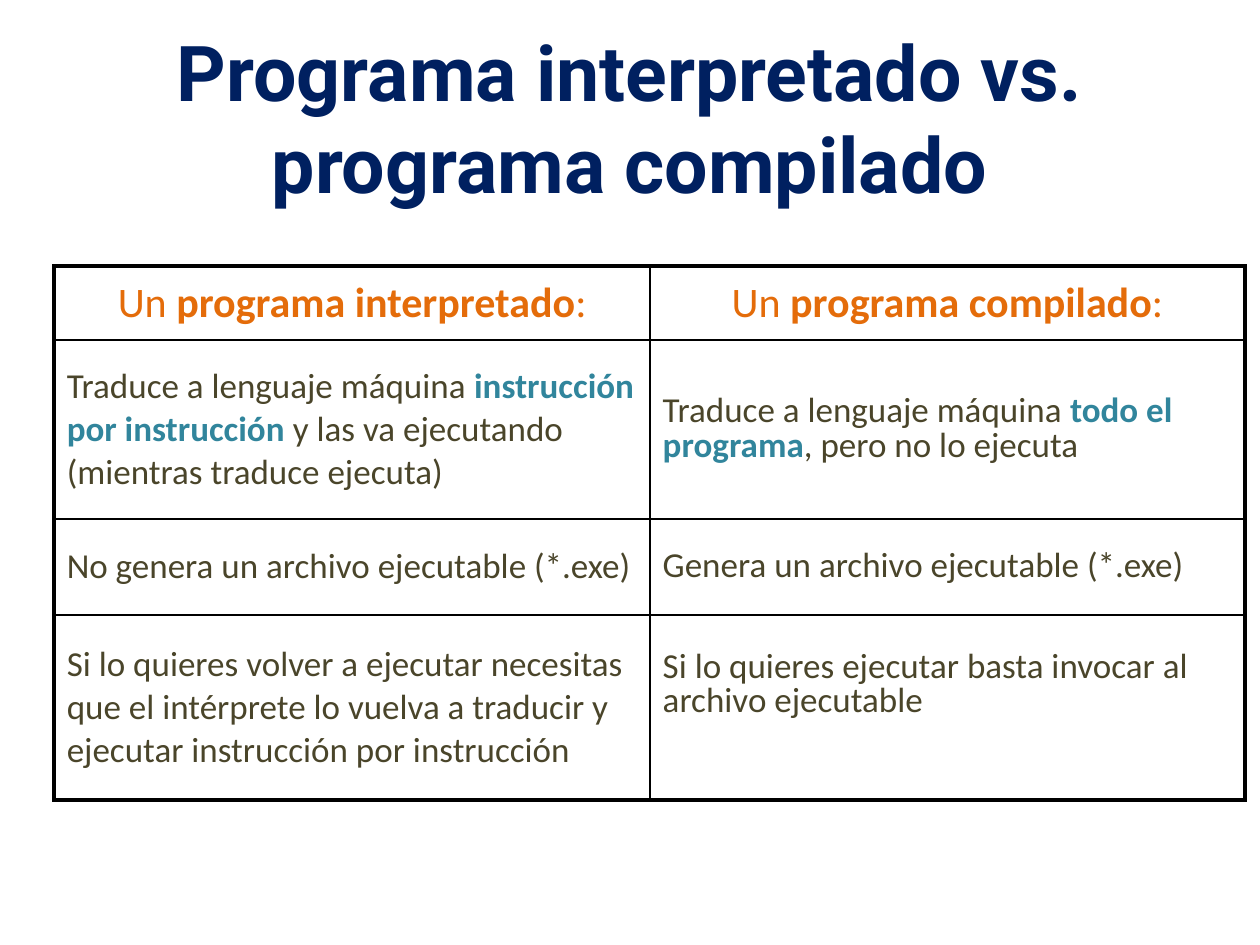
from lxml import etree
from pptx import Presentation
from pptx import util as u
from pptx.dml.color import RGBColor
from pptx.enum import text
from pptx.oxml import ns

NAVY = RGBColor(0x00, 0x20, 0x60)
ORANGE = RGBColor(0xE4, 0x6C, 0x0A)
OLIVE = RGBColor(0x4A, 0x45, 0x2A)
TEAL = RGBColor(0x31, 0x85, 0x9C)
WHITE = RGBColor(0xFF, 0xFF, 0xFF)
BLACK = RGBColor(0x00, 0x00, 0x00)

TITLE = "Programa interpretado vs. programa compilado"
ROWS = [
    (["Un ", "programa interpretado", ":"],
     ["Un ", "programa compilado", ":"]),
    (["Traduce a lenguaje máquina ", "instrucción por instrucción ",
      "y las va ejecutando (mientras traduce ejecuta)"],
     ["Traduce a lenguaje máquina ", "todo el programa", ", pero no lo ejecuta"]),
    (["No genera un archivo ejecutable (*.exe)"],
     ["Genera un archivo ejecutable (*.exe)"]),
    (["Si lo quieres volver a ejecutar necesitas que el intérprete lo vuelva "
      "a traducir y ejecutar instrucción por instrucción"],
     ["Si lo quieres ejecutar basta invocar al archivo ejecutable"]),
]
COLUMN_WIDTHS = [4.73, 4.72]
ROW_HEIGHTS = [0.59, 1.42, 0.76, 1.47]
OUTER_LINE, INNER_LINE = 2.25, 1


def write_text(frame, parts, *, font, size, color, accent=None, bold=False,
               align=text.PP_ALIGN.LEFT, line_spacing=None, space_before=0):
    frame.word_wrap = True
    frame.vertical_anchor = text.MSO_ANCHOR.MIDDLE
    paragraph = frame.paragraphs[0]
    paragraph.alignment = align
    paragraph.line_spacing = line_spacing
    paragraph.space_before = u.Pt(space_before)
    for index, part in enumerate(parts):
        emphasized = index % 2 == 1
        run = paragraph.add_run()
        run.text = part
        run.font.name = font
        run.font.size = u.Pt(size)
        run.font.bold = bold or emphasized
        run.font.color.rgb = accent if emphasized else color


def set_borders(cell, widths):
    properties = cell._tc.get_or_add_tcPr()
    for index, (side, width) in enumerate(widths.items()):
        line = etree.Element(ns.qn(f"a:ln{side}"), w=str(u.Pt(width)))
        fill = etree.SubElement(line, ns.qn("a:solidFill"))
        etree.SubElement(fill, ns.qn("a:srgbClr"), val=str(BLACK))
        properties.insert(index, line)


def add_comparison(slide):
    row_count, column_count = len(ROW_HEIGHTS), len(COLUMN_WIDTHS)
    table = slide.shapes.add_table(
        row_count, column_count, u.Inches(0.43), u.Inches(2.11),
        u.Inches(sum(COLUMN_WIDTHS)), u.Inches(sum(ROW_HEIGHTS))).table
    table.horz_banding = False
    for column, width in zip(table.columns, COLUMN_WIDTHS):
        column.width = u.Inches(width)
    for row, height in zip(table.rows, ROW_HEIGHTS):
        row.height = u.Inches(height)

    for row_index, row in enumerate(ROWS):
        header = row_index == 0
        size = 24 if header else 20
        for column_index, parts in enumerate(row):
            cell = table.cell(row_index, column_index)
            cell.fill.solid()
            cell.fill.fore_color.rgb = WHITE
            outer_sides = {
                "L": column_index == 0,
                "R": column_index == column_count - 1,
                "T": header,
                "B": row_index == row_count - 1,
            }
            set_borders(cell, {side: OUTER_LINE if outer else INNER_LINE
                               for side, outer in outer_sides.items()})
            write_text(
                cell.text_frame, parts, font="Calibri", size=size,
                color=ORANGE if header else OLIVE,
                accent=ORANGE if header else TEAL,
                align=text.PP_ALIGN.CENTER if header else text.PP_ALIGN.LEFT,
                line_spacing=0.8 if column_index and not header else None,
                space_before=size * 0.2)
            cell.vertical_anchor = text.MSO_ANCHOR.MIDDLE
    table.cell(row_count - 1, column_count - 1).margin_bottom = u.Inches(0.4)


def main():
    presentation = Presentation()
    presentation.slide_width = u.Inches(10)
    presentation.slide_height = u.Inches(7.5)
    slide = presentation.slides.add_slide(presentation.slide_layouts[5])
    title = slide.shapes.title
    title.left, title.top = u.Inches(0.5), u.Inches(0.3)
    title.width, title.height = u.Inches(9), u.Inches(1.25)
    title.text_frame.auto_size = text.MSO_AUTO_SIZE.NONE
    write_text(title.text_frame, [TITLE], font="Roboto", size=44, color=NAVY,
               bold=True, align=text.PP_ALIGN.CENTER)
    add_comparison(slide)
    presentation.save("out.pptx")


if __name__ == "__main__":
    main()
